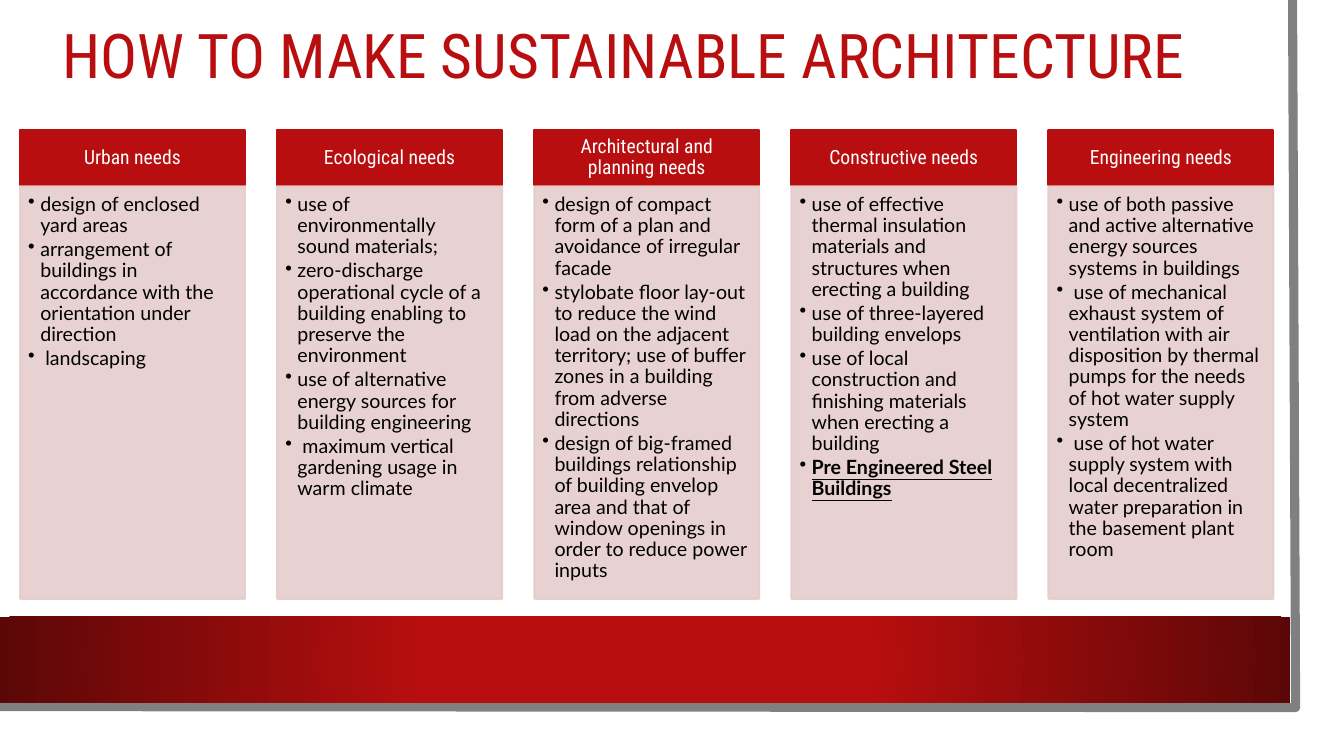
from lxml import etree
from pptx import Presentation
from pptx.dml.color import RGBColor
from pptx.enum.shapes import MSO_SHAPE
from pptx.enum.text import MSO_ANCHOR, MSO_AUTO_SIZE, PP_ALIGN
from pptx.oxml.ns import qn
from pptx.util import Inches, Pt

RECT = MSO_SHAPE.RECTANGLE
TOP, MIDDLE = MSO_ANCHOR.TOP, MSO_ANCHOR.MIDDLE
LEFT, CENTER = PP_ALIGN.LEFT, PP_ALIGN.CENTER
NO_FIT = MSO_AUTO_SIZE.NONE

WIDE, HIGH = 13.33, 7.5
HEAD, BODY = "Roboto Condensed", "Lato"
COLORS = {"red": "B80E0F", "dark": "5C0707", "pink": "E6CCCC",
          "gray": "808080", "white": "FFFFFF", "black": "000000"}

PITCH, COL_W = 2.55, 2.23
HEAD_H, LIST_H = 0.55, 4.09
INDENT = 0.12
STRONG = "Pre Engineered Steel Buildings"

NEEDS = {
    "Urban needs": [
        "design of enclosed yard areas",
        "arrangement of buildings in accordance with the orientation under direction",
        " landscaping"],
    "Ecological needs": [
        "use of environmentally sound materials;",
        "zero-discharge operational cycle of a building enabling to preserve the environment",
        "use of alternative energy sources for building engineering",
        " maximum vertical gardening usage in warm climate"],
    "Architectural and planning needs": [
        "design of compact form of a plan and avoidance of irregular facade",
        "stylobate floor lay-out to reduce the wind load on the adjacent territory; "
        "use of buffer zones in a building from adverse directions",
        "design of big-framed buildings relationship of building envelop area and "
        "that of window openings in order to reduce power inputs"],
    "Constructive needs": [
        "use of effective thermal insulation materials and structures when erecting a building",
        "use of three-layered building envelops",
        "use of local construction and finishing materials when erecting a building",
        STRONG],
    "Engineering needs": [
        "use of both passive and active alternative energy sources systems in buildings",
        " use of mechanical exhaust system of ventilation with air disposition by "
        "thermal pumps for the needs of hot water supply system",
        " use of hot water supply system with local decentralized water preparation "
        "in the basement plant room"],
}


def paint(name):
    return RGBColor.from_string(COLORS[name])


def add_box(slide, box, color, alpha=None):
    shape = slide.shapes.add_shape(RECT, *map(Inches, box))
    shape.shadow.inherit = False
    shape.fill.solid()
    shape.fill.fore_color.rgb = paint(color)
    shape.line.color.rgb = paint(color)
    shape.line.width = Pt(1.5)
    if alpha:
        for tone in shape.element.spPr.iter(qn("a:srgbClr")):
            etree.SubElement(tone, qn("a:alpha"), val=str(alpha * 1000))
    return shape


def write(shape, lines, size=14, font=BODY, color="black", align=LEFT,
          anchor=TOP, insets=(0.1, 0.05, 0.1, 0.05), after=0, bullet=None):
    frame = shape.text_frame
    frame.word_wrap = True
    frame.auto_size = NO_FIT
    frame.vertical_anchor = anchor
    (frame.margin_left, frame.margin_top,
     frame.margin_right, frame.margin_bottom) = map(Inches, insets)
    for i, line in enumerate(lines):
        para = frame.add_paragraph() if i else frame.paragraphs[0]
        para.alignment = align
        para.line_spacing = 0.9
        para.space_before, para.space_after = Pt(0), Pt(after)
        if bullet:
            props = para._p.get_or_add_pPr()
            props.set("marL", str(Inches(INDENT)))
            props.set("indent", str(-Inches(INDENT)))
            etree.SubElement(props, qn("a:buChar"), char=bullet)
        run = para.add_run()
        run.text = line
        run.font.name, run.font.size = font, Pt(size)
        run.font.color.rgb = paint(color)
        if line == STRONG:
            run.font.bold = run.font.underline = True


def add_frame(slide, right, base):
    """Draw the gray edge along the right and bottom of the page."""
    path = slide.shapes.build_freeform(Inches(right - 0.03), 0)
    path.add_line_segments([(Inches(right), Inches(base)),
                            (0, Inches(base - 0.01))], close=False)
    edge = path.convert_to_shape()
    edge.shadow.inherit = False
    edge.fill.background()
    edge.line.color.rgb = paint("gray")
    edge.line.width = Pt(6.5)


def add_band(slide, box):
    band = add_box(slide, box, "red")
    band.line.fill.background()
    band.fill.gradient()
    stops = zip(band.fill.gradient_stops, (0.34, 1), ("red", "dark"))
    for stop, place, color in stops:
        stop.position = place
        stop.color.rgb = paint(color)
    grad = band.element.spPr.find(qn("a:gradFill"))
    grad.remove(grad.find(qn("a:lin")))
    round_fill = etree.Element(qn("a:path"), path="circle")
    sides = dict.fromkeys("ltrb", "50000")
    etree.SubElement(round_fill, qn("a:fillToRect"), **sides)
    grad.find(qn("a:gsLst")).addnext(round_fill)


def add_title(slide, box, text):
    title = slide.shapes.title
    title.left, title.top, title.width, title.height = map(Inches, box)
    write(title, [text], size=44, font=HEAD, color="red", anchor=MIDDLE)


def add_column(slide, left, top, name, items):
    head = add_box(slide, (left, top, COL_W, HEAD_H), "red")
    write(head, [name], font=HEAD, color="white", align=CENTER,
          anchor=MIDDLE, insets=(0.11, 0.06, 0.11, 0.06))
    body = add_box(slide, (left, top + HEAD_H + 0.01, COL_W, LIST_H), "pink", 90)
    write(body, items, insets=(0.08, 0.08, 0.11, 0.12), after=2.1, bullet="•")


def main():
    deck = Presentation()
    deck.slide_width, deck.slide_height = Inches(WIDE), Inches(HIGH)
    slide = deck.slides.add_slide(deck.slide_layouts[5])
    add_frame(slide, 12.85, 7.02)
    add_band(slide, (0, 6.12, 12.8, 0.85))
    add_title(slide, (0.52, -0.11, 12.44, 1.39),
              "HOW TO MAKE SUSTAINABLE ARCHITECTURE")
    for i, (name, items) in enumerate(NEEDS.items()):
        add_column(slide, 0.2 + i * PITCH, 1.29, name, items)
    deck.save("out.pptx")


if __name__ == "__main__":
    main()
